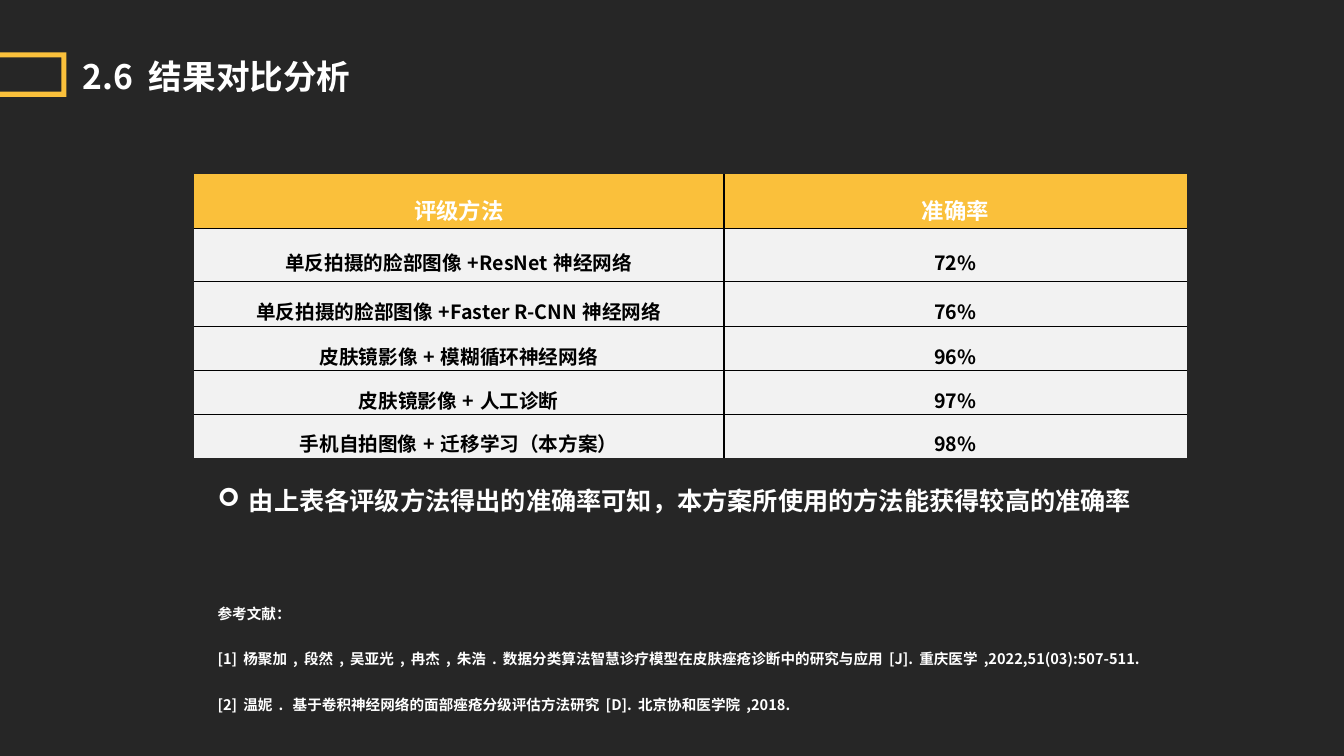
from pptx import Presentation
from pptx.dml.color import RGBColor
from pptx.enum.text import MSO_ANCHOR, MSO_AUTO_SIZE, PP_ALIGN
from pptx.oxml.ns import qn
from pptx.util import Inches, Pt
from lxml.etree import SubElement

COLORS = {
    "background": "262626",
    "accent": "FAC03B",
    "light": "FFFFFF",
    "dark": "000000",
    "cell": "F2F2F2",
}
FONT = "Noto Sans CJK SC"

RESULTS = [
    ("评级方法", "准确率"),
    ("单反拍摄的脸部图像+ResNet神经网络", "72%"),
    ("单反拍摄的脸部图像+Faster R-CNN神经网络", "76%"),
    ("皮肤镜影像+模糊循环神经网络", "96%"),
    ("皮肤镜影像+人工诊断", "97%"),
    ("手机自拍图像+迁移学习（本方案）", "98%"),
]
COLUMN_WIDTHS = [5.26, 4.59]
ROW_HEIGHTS = [0.54, 0.52, 0.45, 0.44, 0.43, 0.43]
REFERENCES = [
    "参考文献：",
    "[1]杨聚加,段然,吴亚光,冉杰,朱浩.数据分类算法智慧诊疗模型在皮肤痤疮诊断中的研究与应用[J].重庆医学,2022,51(03):507-511.",
    "[2]温妮. 基于卷积神经网络的面部痤疮分级评估方法研究[D].北京协和医学院,2018.",
]


def color(name):
    return RGBColor.from_string(COLORS[name])


def write_text(frame, lines, size=18, ink="light", align=PP_ALIGN.LEFT,
               spacing=1.0, baseline=None, bullet=None):
    """Fill a text frame with one bold paragraph per line."""
    for index, line in enumerate(lines):
        paragraph = frame.paragraphs[0] if index == 0 else frame.add_paragraph()
        paragraph.alignment = align
        paragraph.line_spacing = spacing
        paragraph.space_before = Pt(0)
        run = paragraph.add_run()
        run.text = line
        run.font.size = Pt(size)
        run.font.bold = True
        run.font.name = FONT
        run.font.color.rgb = color(ink)
        properties = run._r.get_or_add_rPr()
        SubElement(properties, qn("a:ea")).set("typeface", FONT)
        if baseline:
            properties.set("baseline", str(baseline))
        if bullet:
            layout = paragraph._p.get_or_add_pPr()
            layout.set("marL", str(Inches(0.31)))
            layout.set("indent", str(Inches(-0.31)))
            SubElement(layout, qn("a:buFont")).set("typeface", "Wingdings")
            SubElement(layout, qn("a:buChar")).set("char", bullet)


def place(shape, left, top, width, height):
    shape.left, shape.top = Inches(left), Inches(top)
    shape.width, shape.height = Inches(width), Inches(height)


def add_title(slide, text):
    title = slide.shapes.title
    place(title, 0.72, 0.5, 2.86, 0.91)
    frame = title.text_frame
    frame.word_wrap = False
    frame.auto_size = MSO_AUTO_SIZE.SHAPE_TO_FIT_TEXT
    frame.vertical_anchor = MSO_ANCHOR.TOP
    write_text(frame, [text], size=24)


def add_text(slide, box, lines, wrap=True, **text_format):
    frame = slide.shapes.add_textbox(*map(Inches, box)).text_frame
    frame.word_wrap = wrap
    frame.auto_size = MSO_AUTO_SIZE.SHAPE_TO_FIT_TEXT
    write_text(frame, lines, **text_format)


def add_bracket(slide):
    points = [(0, 0.96), (0.66, 0.96), (0.66, 0.52), (0, 0.52),
              (0, 0.57), (0.61, 0.57), (0.61, 0.91), (0, 0.91)]
    corners = [(Inches(x), Inches(y)) for x, y in points]
    builder = slide.shapes.build_freeform(*corners[0])
    builder.add_line_segments(corners[1:], close=True)
    bracket = builder.convert_to_shape()
    bracket.shadow.inherit = False
    bracket.fill.solid()
    bracket.fill.fore_color.rgb = color("accent")
    bracket.line.fill.background()


def set_borders(cell, visible):
    """Draw the visible sides (L, R, T, B) and hide the others."""
    properties = cell._tc.get_or_add_tcPr()
    for side in "LRTB":
        line = SubElement(properties, qn(f"a:ln{side}"), w=str(Pt(1)))
        if side in visible:
            fill = SubElement(line, qn("a:solidFill"))
            SubElement(fill, qn("a:srgbClr")).set("val", COLORS["dark"])
        else:
            SubElement(line, qn("a:noFill"))


def add_results_table(slide):
    frame = slide.shapes.add_table(
        len(RESULTS), len(COLUMN_WIDTHS), Inches(1.92), Inches(1.73),
        Inches(sum(COLUMN_WIDTHS)), Inches(sum(ROW_HEIGHTS)))
    table = frame.table
    table.horz_banding = False
    for column, width in zip(table.columns, COLUMN_WIDTHS):
        column.width = Inches(width)
    for row, height in zip(table.rows, ROW_HEIGHTS):
        row.height = Inches(height)

    for row_index, values in enumerate(RESULTS):
        header = row_index == 0
        for column_index, value in enumerate(values):
            cell = table.cell(row_index, column_index)
            cell.margin_left = cell.margin_right = Inches(0.07)
            cell.margin_top = cell.margin_bottom = 0
            cell.vertical_anchor = MSO_ANCHOR.MIDDLE
            # Only the inner grid lines are drawn
            sides = "R" if column_index == 0 else "L"
            sides += "" if header else "T"
            sides += "" if row_index == len(RESULTS) - 1 else "B"
            set_borders(cell, sides)
            cell.fill.solid()
            cell.fill.fore_color.rgb = color("accent" if header else "cell")
            write_text(cell.text_frame, [value], size=16 if header else 14,
                       ink="light" if header else "dark",
                       align=PP_ALIGN.CENTER, spacing=1.5)


def main():
    presentation = Presentation()
    presentation.slide_width = Inches(13.33)
    presentation.slide_height = Inches(7.5)
    slide = presentation.slides.add_slide(presentation.slide_layouts[5])
    slide.background.fill.solid()
    slide.background.fill.fore_color.rgb = color("background")

    # Heading
    add_bracket(slide)
    add_title(slide, "2.6 结果对比分析")

    # Comparison and conclusion
    add_results_table(slide)
    add_text(slide, (2.06, 4.77, 9.26, 0.4),
             ["由上表各评级方法得出的准确率可知，本方案所使用的方法能获得较高的准确率"],
             wrap=False, bullet="➢")

    # References
    add_text(slide, (2.06, 5.77, 9.68, 0.99), REFERENCES,
             align=PP_ALIGN.JUSTIFY, spacing=1.5, baseline=30000)

    presentation.save("out.pptx")


if __name__ == "__main__":
    main()
